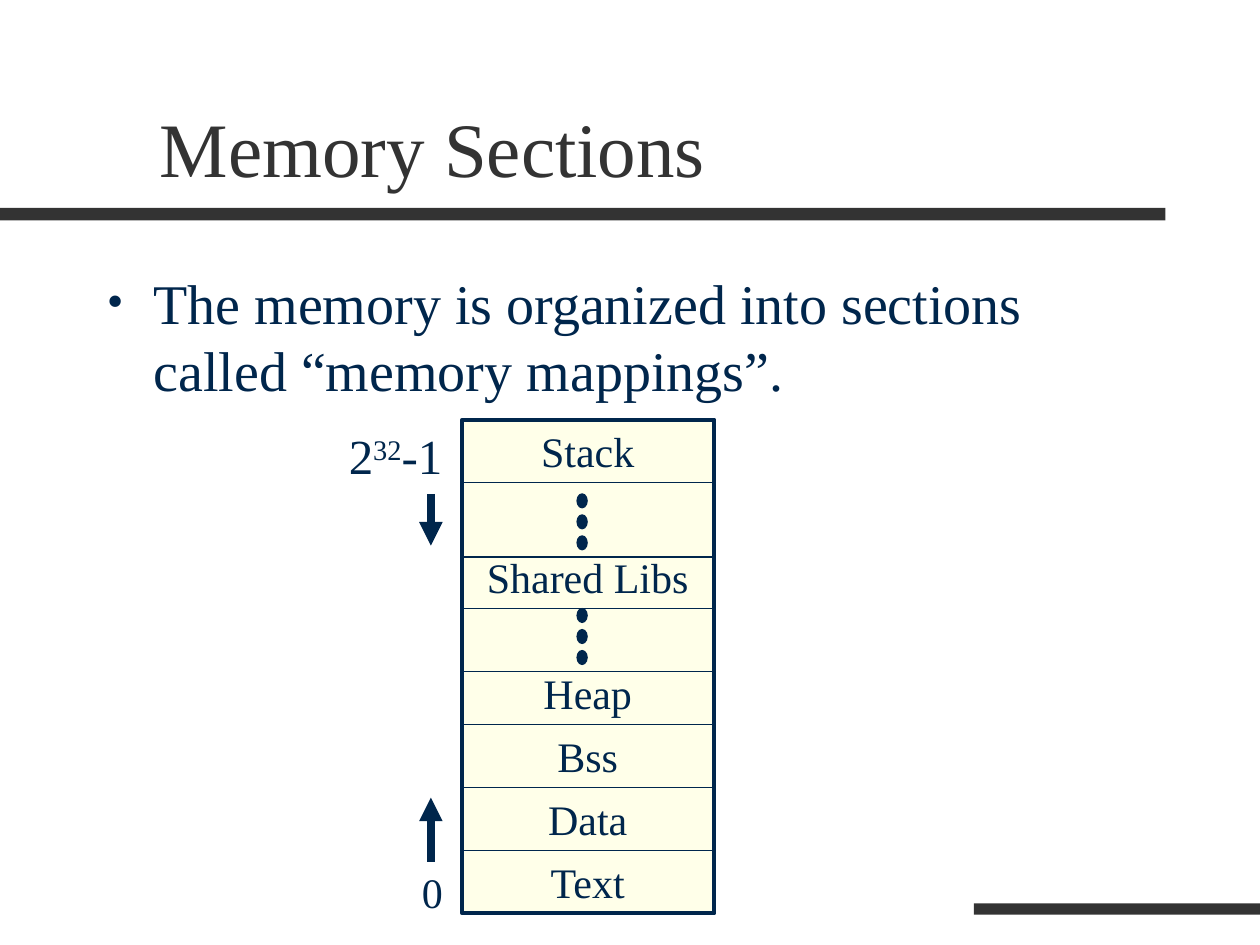
import lxml.etree
import pptx
import pptx.dml.color
import pptx.enum.shapes
import pptx.enum.text
import pptx.oxml.ns
import pptx.util

Inches = pptx.util.Inches
Pt = pptx.util.Pt
RGBColor = pptx.dml.color.RGBColor
Shape = pptx.enum.shapes.MSO_SHAPE
Align = pptx.enum.text.PP_ALIGN
Anchor = pptx.enum.text.MSO_ANCHOR
qn = pptx.oxml.ns.qn

GRAY = RGBColor(0x33, 0x33, 0x33)
NAVY = RGBColor(0x00, 0x26, 0x4C)
CREAM = RGBColor(0xFF, 0xFF, 0xE9)
FONT = "Times New Roman"

deck = pptx.Presentation()
deck.slide_width = Inches(10)
deck.slide_height = Inches(7.5)
slide = deck.slides.add_slide(deck.slide_layouts[6])
shapes = slide.shapes


def write(text, left, top, width, height, size=24, color=NAVY,
          align=Align.LEFT, anchor=Anchor.TOP, before=15):
    """Add a text box; a part of the text between two ^ marks is raised."""
    box = shapes.add_textbox(Inches(left), Inches(top), Inches(width), Inches(height))
    frame = box.text_frame
    frame.word_wrap = True
    frame.vertical_anchor = anchor
    para = frame.paragraphs[0]
    para.alignment = align
    para.space_before = Pt(before)
    for index, part in enumerate(text.split("^")):
        run = para.add_run()
        run.text = part
        run.font.name = FONT
        run.font.size = Pt(size)
        run.font.color.rgb = color
        if index % 2:
            run.font._element.set("baseline", "30000")
    return para


def draw(x1, y1, x2, y2, width=0.75, arrow=False):
    line = shapes.add_connector(pptx.enum.shapes.MSO_CONNECTOR.STRAIGHT,
                                Inches(x1), Inches(y1), Inches(x2), Inches(y2))
    line.line.color.rgb = NAVY
    line.line.width = Pt(width)
    if arrow:
        lxml.etree.SubElement(line.line._get_or_add_ln(), qn("a:tailEnd"), type="triangle")
    lxml.etree.SubElement(line._element.spPr, qn("a:effectLst"))


# Bars, memory block and the dots in its two gaps
items = [
    (Shape.RECTANGLE, 0, 1.65, 9.25, 0.1, GRAY, None),
    (Shape.RECTANGLE, 7.73, 7.17, 2.27, 0.09, GRAY, None),
    (Shape.RECTANGLE, 3.67, 3.33, 2, 3.92, CREAM, 2.25),
]
for first in (3.92, 4.83):
    for step in range(3):
        items.append((Shape.OVAL, 4.58, first + step / 6, 0.08, 0.11, NAVY, 0.75))

for kind, left, top, width, height, color, edge in items:
    shape = shapes.add_shape(kind, Inches(left), Inches(top), Inches(width), Inches(height))
    shape.shadow.inherit = False
    shape.fill.solid()
    shape.fill.fore_color.rgb = color
    if edge:
        shape.line.color.rgb = NAVY
        shape.line.width = Pt(edge)
    else:
        shape.line.fill.background()

# Title and bullet
write("Memory Sections", 1.17, 0.33, 8.5, 1.25, size=44, color=GRAY,
      anchor=Anchor.BOTTOM, before=0)
point = write("The memory is organized into sections called “memory mappings”.",
              0.75, 2.08, 8.5, 4.58, size=32, before=8)
props = point._p.get_or_add_pPr()
props.set("marL", str(Inches(0.37)))
props.set("indent", str(-Inches(0.37)))
tint = lxml.etree.SubElement(props, qn("a:buClr"))
lxml.etree.SubElement(tint, qn("a:srgbClr"), val=str(NAVY))
lxml.etree.SubElement(props, qn("a:buSzPct"), val="85000")
lxml.etree.SubElement(props, qn("a:buFont"), typeface=FONT)
lxml.etree.SubElement(props, qn("a:buChar"), char="•")

# Sections
for y in (3.83, 4.42, 4.83, 5.33, 5.75, 6.25, 6.75):
    draw(3.67, y, 5.67, y)
for name, top in (("Stack", 3.33), ("Shared Libs", 4.33), ("Heap", 5.25),
                  ("Bss", 5.75), ("Data", 6.25), ("Text", 6.75)):
    write(name, 3.75, top, 1.83, 0.5, align=Align.CENTER)

# Addresses and directions of growth
write("2^32^-1", 2.67, 3.33, 1.5, 0.57, size=28, before=17.5)
draw(3.42, 3.92, 3.42, 4.33, width=4.5, arrow=True)
write("0", 3.25, 6.83, 0.5, 0.5)
draw(3.42, 6.84, 3.42, 6.33, width=4.5, arrow=True)

deck.save("out.pptx")
